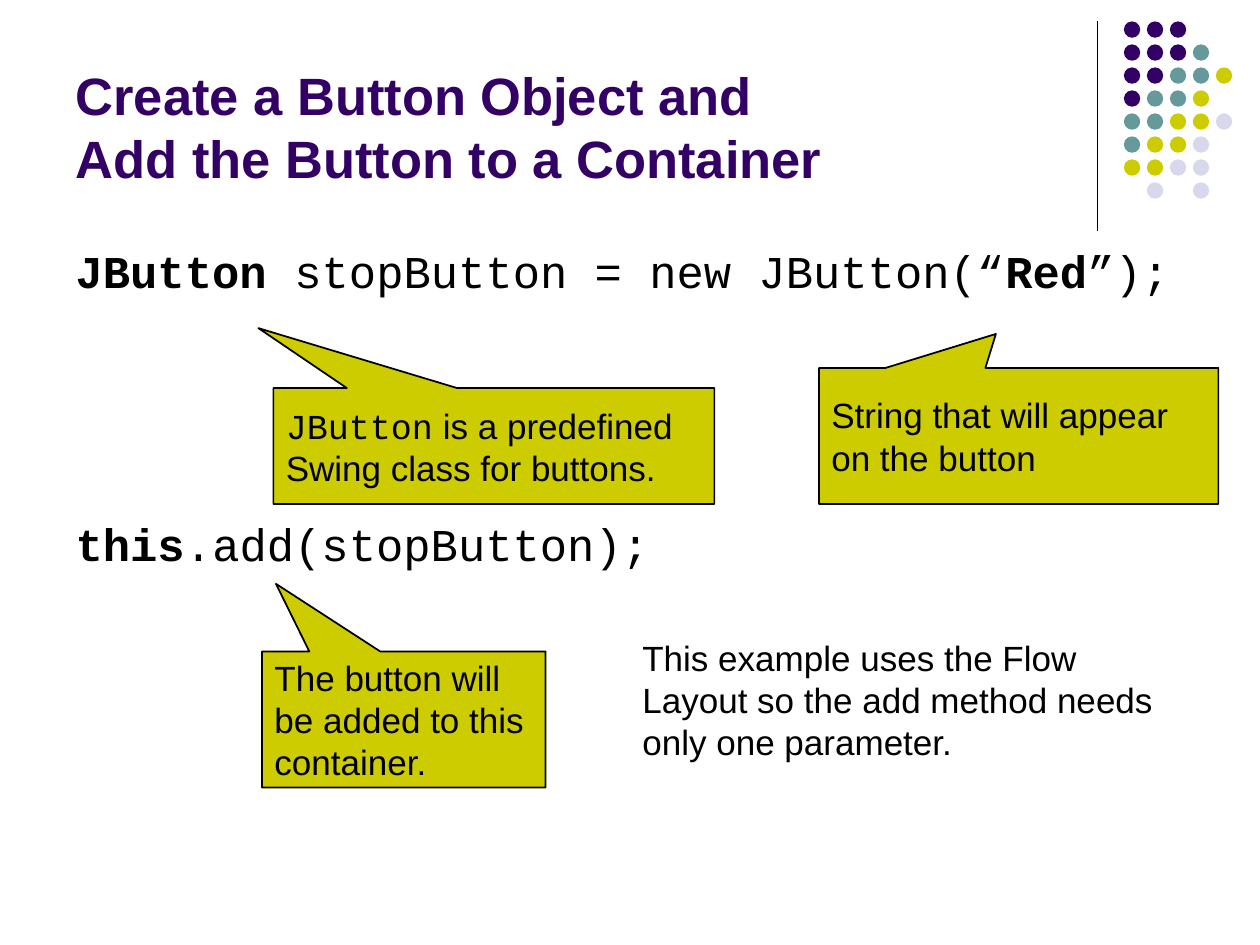
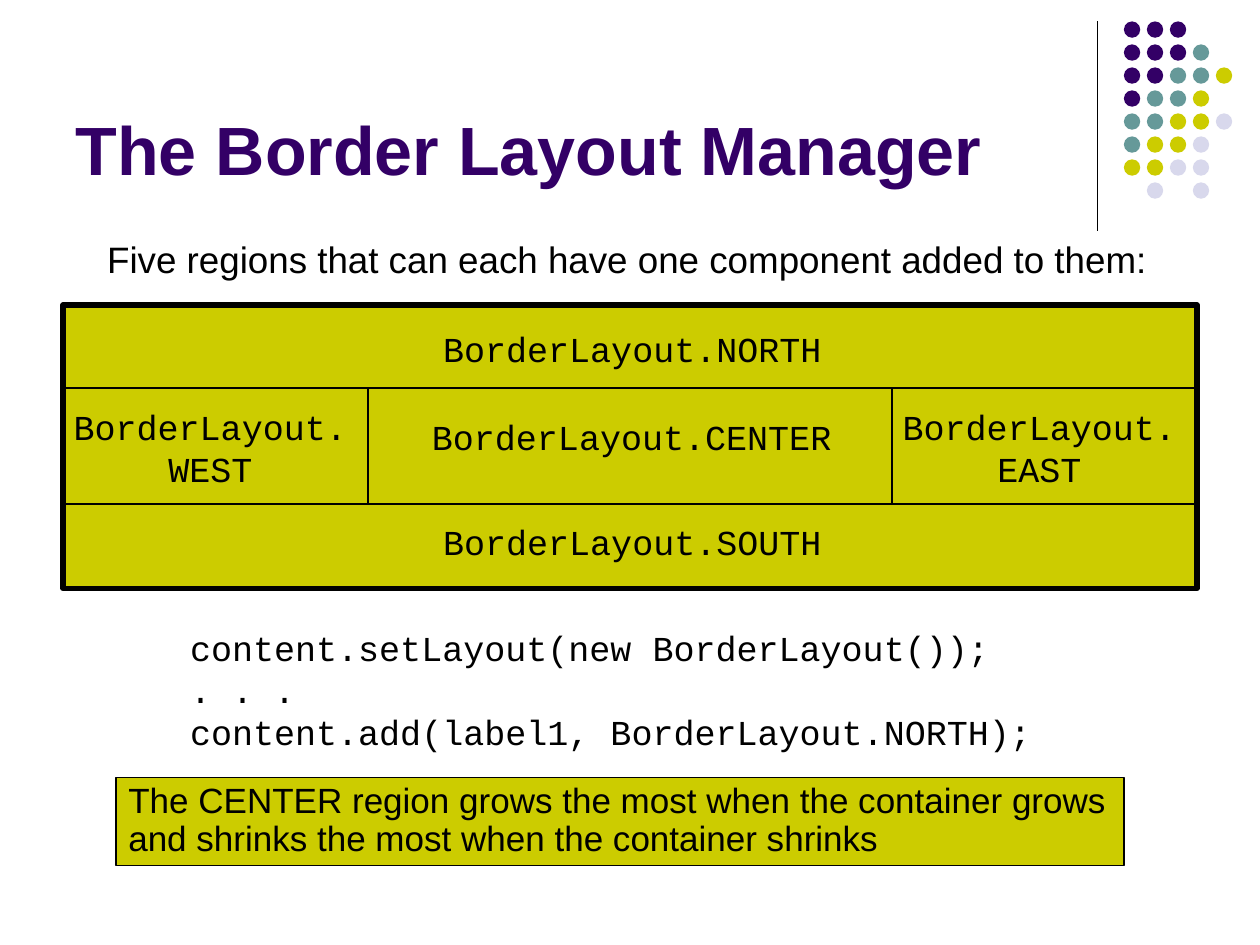
"""Build two slides on Swing buttons and the border layout manager."""
import pptx
import pptx.util
import pptx.dml.color
import pptx.enum.shapes
import pptx.enum.text
import lxml.etree

Inches, Pt = pptx.util.Inches, pptx.util.Pt
KIND = pptx.enum.shapes.MSO_SHAPE
ALIGN = pptx.enum.text.PP_ALIGN
ANCHOR = pptx.enum.text.MSO_ANCHOR
FIT = pptx.enum.text.MSO_AUTO_SIZE

HUES = {"ink": "000000", "plum": "330066", "teal": "669999",
        "lime": "CCCC00", "mist": "D8D8EC"}
SANS = {"name": "Arial", "size": Pt(20)}
MONO = {"name": "Courier New", "size": Pt(20)}
CODE = {**MONO, "size": Pt(26), "bold": False}
BOLD = {**CODE, "bold": True}
LEAD = {**SANS, "size": Pt(21)}
HEAD = {"name": "Arial", "bold": True}

DOTS = ["PPP", "PPPT", "PPTTY", "PTTY", "TTYYL", "TYYL", "YYLL", " L L"]
DOT_HUES = {"P": "plum", "T": "teal", "Y": "lime", "L": "mist"}
DOT_LEFT, DOT_TOP, DOT_SIZE, DOT_STEP = 8.92, 0.17, 0.13, 0.73 / 4
TITLE_BOX = (0.5, 0.13, 8.25, 1.42)

BUTTON = {
    "title": [[("Create a Button Object and", HEAD), ("\v", {}),
               ("Add the Button to a Container", HEAD)]],
    "size": 30,
    "box": (0.5, 1.88, 9, 4.82),
    "gap": 125,
    "body": [[("JButton", BOLD), (" stopButton = new JButton(“", CODE),
              ("Red", BOLD), ("”);", CODE)],
             [("this", BOLD), (".add(stopButton);", CODE)]],
}
CALLOUTS = [
    ((6.5, 2.92, 3.17, 1.08), (-0.057, -0.75),
     [("String that will appear on the button", SANS)]),
    ((2.08, 5.17, 2.25, 1.08), (-0.451, -0.997),
     [("The button will be added to this container.", SANS)]),
    ((2.17, 3.08, 3.5, 0.92), (-0.534, -1.017),
     [("JButton", MONO), (" is a predefined Swing class for buttons.", SANS)]),
]
NOTE = ("This example uses the Flow Layout so the add method needs "
        "only one parameter.")

BORDER = {
    "title": [[("The Border Layout Manager", HEAD)]],
    "size": 39,
    "box": (0.75, 1.83, 8.5, 0.67),
    "gap": 0,
    "body": [[("Five regions that can each have one component added to them:",
               LEAD)]],
}
FRAMES = [((0.5, 2.42, 9, 2.25), "lime", 3), ((0.5, 3.08, 9, 0.92), None, 1),
          ((0.5, 3.08, 2.42, 0.92), None, 1), ((7.08, 3.08, 2.42, 0.92), None, 1)]
REGIONS = [
    ((3.42, 2.55, 3.2, 0.44), ["BorderLayout.NORTH"], False),
    ((3.42, 4.08, 3.2, 0.44), ["BorderLayout.SOUTH"], False),
    ((3.33, 3.25, 3.37, 0.44), ["BorderLayout.CENTER"], False),
    ((0.42, 3.17, 2.5, 0.77), ["BorderLayout.", "WEST"], True),
    ((7, 3.17, 2.5, 0.77), ["BorderLayout.", "EAST"], True),
]
SAMPLE = ["content.setLayout(new BorderLayout());", ". . .",
          "content.add(label1, BorderLayout.NORTH);"]
RULE = ("The CENTER region grows the most when the container grows "
        "and shrinks the most when the container shrinks")


def style(item, form):
    for key, val in form.items():
        setattr(item, key, val)


def paint(part, hue):
    part.rgb = pptx.dml.color.RGBColor.from_string(HUES[hue])


def span(box):
    return [Inches(x) for x in box]


def place(shape, box):
    style(shape, dict(zip(("left", "top", "width", "height"), span(box))))


def write(shape, paras, hue="ink", para=None, gap=0, wrap=True,
          anchor=ANCHOR.TOP, plain=False):
    frame = shape.text_frame
    style(frame, {"auto_size": FIT.NONE, "word_wrap": wrap,
                  "vertical_anchor": anchor,
                  "margin_left": Inches(0.1), "margin_right": Inches(0.1),
                  "margin_top": Inches(0.05), "margin_bottom": Inches(0.05)})
    for i, runs in enumerate(paras):
        line = frame.add_paragraph() if i else frame.paragraphs[0]
        style(line, {"alignment": ALIGN.LEFT, "space_before": Pt(gap if i else 0),
                     **(para or {})})
        if plain:
            props = line._p.get_or_add_pPr()
            lxml.etree.SubElement(props, pptx.oxml.ns.qn("a:buNone"))
        for text, form in runs:
            if text == "\v":
                line.add_line_break()
                continue
            run = line.add_run()
            run.text = text
            style(run.font, form)
            paint(run.font.color, hue)


def draw(shapes, kind, box, hue=None, edge=None):
    shape = shapes.add_shape(kind, *span(box))
    shape.shadow.inherit = False
    if hue:
        shape.fill.solid()
        paint(shape.fill.fore_color, hue)
    else:
        shape.fill.background()
    if edge:
        shape.line.width = Pt(edge)
        paint(shape.line.color, "ink")
    else:
        shape.line.fill.background()
    return shape


def label(shapes, box, paras, **form):
    write(shapes.add_textbox(*span(box)), paras, **form)


def adorn(slide, layout):
    """Draw the rule and dots, then move them to the shared layout."""
    rule = slide.shapes.add_connector(
        pptx.enum.shapes.MSO_CONNECTOR.STRAIGHT, *span((8.71, 0.17, 8.71, 1.83)))
    rule.line.width = Pt(0.75)
    paint(rule.line.color, "ink")
    lxml.etree.SubElement(rule._element.spPr, pptx.oxml.ns.qn("a:effectLst"))
    group = slide.shapes.add_group_shape()
    for row, marks in enumerate(DOTS):
        for col, mark in enumerate(marks):
            if mark != " ":
                box = (DOT_LEFT + col * DOT_STEP, DOT_TOP + row * DOT_STEP,
                       DOT_SIZE, DOT_SIZE)
                draw(group.shapes, KIND.OVAL, box, DOT_HUES[mark])
    for item in (rule, group):
        layout.shapes.element.append(item._element)


def start(deck, layout, page):
    slide = deck.slides.add_slide(layout)
    title, body = slide.shapes.title, slide.placeholders[1]
    place(title, TITLE_BOX)
    paras = [[(text, form and {**form, "size": Pt(page["size"])})
              for text, form in runs] for runs in page["title"]]
    write(title, paras, "plum", anchor=ANCHOR.BOTTOM)
    place(body, page["box"])
    write(body, page["body"], gap=page["gap"], plain=True)
    return slide


def main():
    deck = pptx.Presentation()
    style(deck, {"slide_width": Inches(10), "slide_height": Inches(7.5)})
    layout = deck.slide_layouts[1]

    slide = start(deck, layout, BUTTON)
    adorn(slide, layout)
    for box, tip, runs in CALLOUTS:
        shape = draw(slide.shapes, KIND.RECTANGULAR_CALLOUT, box, "lime", 1)
        shape.adjustments[0], shape.adjustments[1] = tip
        write(shape, [runs], anchor=ANCHOR.MIDDLE)
    label(slide.shapes, (5, 5, 4.5, 1.1), [[(NOTE, SANS)]])

    slide = start(deck, layout, BORDER)
    group = slide.shapes.add_group_shape()
    for box, hue, edge in FRAMES:
        draw(group.shapes, KIND.RECTANGLE, box, hue, edge)
    for box, lines, wrap in REGIONS:
        label(group.shapes, box, [[(text, MONO)] for text in lines],
              para={"alignment": ALIGN.CENTER}, wrap=wrap)
    label(slide.shapes, (1.41, 4.92, 6.88, 1.1),
          [[(text, MONO)] for text in SAMPLE], wrap=False)
    shape = draw(slide.shapes, KIND.RECTANGLE, (0.92, 6.17, 8, 0.7), "lime", 1)
    write(shape, [[(RULE, SANS)]], para={"line_spacing": 0.9})

    deck.save("out.pptx")


if __name__ == "__main__":
    main()
